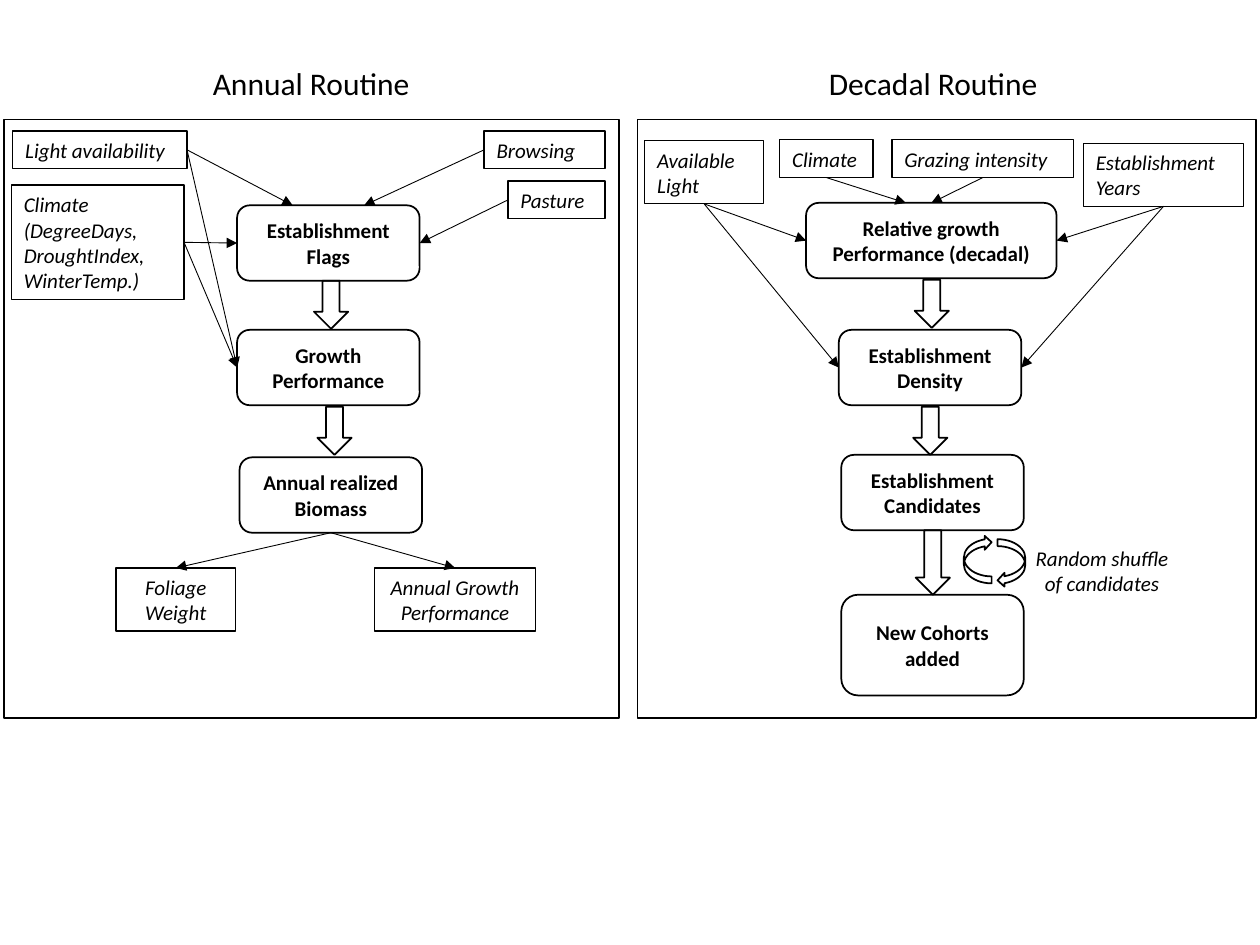
from pptx import Presentation
from pptx.dml.color import RGBColor
from pptx.enum.shapes import MSO_CONNECTOR, MSO_SHAPE
from pptx.enum.text import MSO_ANCHOR, PP_ALIGN
from pptx.oxml.ns import qn
from pptx.util import Cm, Pt
from lxml.etree import SubElement

COLORS = {"ink": "000000"}
INK = RGBColor.from_string(COLORS["ink"])
TOP, LEFT, BOTTOM, RIGHT = range(4)
STAGE = (3.68, 1.52)  # width and height of a usual stage

# Each style: font values, alignment, wrapping
STYLES = {
    "head": ({"size": Pt(18)}, PP_ALIGN.LEFT, False),
    "stage": ({"size": Pt(12), "bold": True}, PP_ALIGN.CENTER, False),
    "input": ({"size": Pt(12), "italic": True}, PP_ALIGN.LEFT, True),
    "result": ({"size": Pt(12), "italic": True}, PP_ALIGN.CENTER, False),
}


def write(shape, text, style):
    values, align, wrap = STYLES[style]
    frame = shape.text_frame
    frame.text = text
    frame.word_wrap = wrap
    frame.vertical_anchor = MSO_ANCHOR.MIDDLE
    for para in frame.paragraphs:
        para.alignment = align
        for run in para.runs:
            run.font.name = "Calibri"
            run.font.color.rgb = INK
            for name, value in values.items():
                setattr(run.font, name, value)


class Panel:
    """A framed region; all places are in cm from its top left corner."""

    def __init__(self, slide, x, y, w, h):
        self.shapes, self.x, self.y = slide.shapes, x, y
        self.shape(MSO_SHAPE.RECTANGLE, 0, 0, w, h)

    def spot(self, x, y):
        return Cm(self.x + x), Cm(self.y + y)

    def shape(self, kind, x, y, w, h, line=1):
        item = self.shapes.add_shape(kind, *self.spot(x, y), Cm(w), Cm(h))
        item.shadow.inherit = False
        item.fill.background()
        item.line.color.rgb = INK
        item.line.width = Pt(line)
        return item

    def label(self, text, style, x, y, w, h):
        item = self.shapes.add_textbox(*self.spot(x, y), Cm(w), Cm(h))
        write(item, text, style)

    def stage(self, text, x, y, w=STAGE[0], h=STAGE[1]):
        item = self.shape(MSO_SHAPE.ROUNDED_RECTANGLE, x, y, w, h)
        write(item, text, "stage")
        return item

    def note(self, text, style, x, y, w, h=0.76):
        item = self.shape(MSO_SHAPE.RECTANGLE, x, y, w, h, 0.75)
        write(item, text, style)
        return item

    def down(self, x, y, h=0.97):
        self.shape(MSO_SHAPE.DOWN_ARROW, x, y, 0.69, h)

    def link(self, start, side, end, goal):
        """Join a box side to another box side, or to a point if end is None."""
        spot = self.spot(*goal) if end is None else (0, 0)
        line = self.shapes.add_connector(MSO_CONNECTOR.STRAIGHT, 0, 0, *spot)
        line.begin_connect(start, side)
        if end is not None:
            line.end_connect(end, goal)
        line.line.color.rgb = INK
        line.line.width = Pt(0.5)
        SubElement(line.line._get_or_add_ln(), qn("a:tailEnd"), type="triangle")
        SubElement(line._element.spPr, qn("a:effectLst"))


def annual(slide, *box):
    panel = Panel(slide, *box)
    panel.label("Annual Routine", "head", 3.96, -1.24, 4.52, 1.02)

    flags = panel.stage("Establishment\nFlags", 4.7, 1.73)
    growth = panel.stage("Growth\nPerformance", 4.7, 4.24)
    mass = panel.stage("Annual realized\nBiomass", 4.75, 6.81)
    panel.down(6.25, 3.25)
    panel.down(6.32, 5.79)

    light = panel.note("Light availability", "input", 0.18, 0.23, 3.51)
    browse = panel.note("Browsing", "input", 9.68, 0.23, 2.44)
    climate = panel.note("Climate\n(DegreeDays,\nDroughtIndex,\nWinterTemp.)",
                         "input", 0.15, 1.32, 3.48, 2.31)
    grass = panel.note("Pasture", "input", 10.16, 1.24, 1.96)
    leaf = panel.note("Foliage\nWeight", "result", 2.26, 9.04, 2.41, 1.27)
    yearly = panel.note("Annual Growth\nPerformance", "result",
                        7.47, 9.04, 3.25, 1.27)

    for link in (
        (browse, LEFT, None, (7.26, 1.73)),
        (light, RIGHT, None, (5.82, 1.73)),
        (grass, LEFT, flags, RIGHT),
        (climate, RIGHT, flags, LEFT),
        (climate, RIGHT, growth, LEFT),
        (light, RIGHT, growth, LEFT),
        (mass, BOTTOM, leaf, TOP),
        (mass, BOTTOM, yearly, TOP),
    ):
        panel.link(*link)


def decadal(slide, *box):
    panel = Panel(slide, *box)
    panel.label("Decadal Routine", "head", 3.61, -1.24, 4.78, 1.02)

    growth = panel.stage("Relative growth\nPerformance (decadal)",
                         3.4, 1.68, w=5.05)
    density = panel.stage("Establishment\nDensity", 4.06, 4.24)
    panel.stage("Establishment\nCandidates", 4.11, 6.76)
    panel.stage("New Cohorts\nadded", 4.11, 9.58, h=2.03)
    panel.down(5.59, 3.23)
    panel.down(5.56, 5.79)
    panel.down(5.61, 8.28, 1.3)

    for x, y, turn in ((7.26, 8.46, 0), (6.58, 8.38, 180)):
        curve = panel.shape(MSO_SHAPE.CURVED_LEFT_ARROW, x, y, 0.56, 0.97)
        curve.rotation = turn
    panel.label("Random shuffle\nof candidates", "result",
                7.75, 8.46, 3.23, 1.27)

    light = panel.note("Available Light", "input", 0.15, 0.43, 2.39, 1.27)
    climate = panel.note("Climate", "input", 2.87, 0.41, 1.88)
    graze = panel.note("Grazing intensity", "input", 5.13, 0.41, 3.66)
    years = panel.note("Establishment\nYears", "input", 8.99, 0.48, 3.23, 1.27)

    for link in (
        (light, BOTTOM, growth, LEFT),
        (light, BOTTOM, density, LEFT),
        (years, BOTTOM, growth, RIGHT),
        (years, BOTTOM, density, RIGHT),
        (graze, BOTTOM, growth, TOP),
        (climate, BOTTOM, None, (5.41, 1.68)),
    ):
        panel.link(*link)


def main():
    deck = Presentation()
    deck.slide_width, deck.slide_height = Cm(25.4), Cm(19.05)
    slide = deck.slides.add_slide(deck.slide_layouts[6])
    annual(slide, 0.08, 2.41, 12.4, 12.07)
    decadal(slide, 12.85, 2.41, 12.47, 12.07)
    deck.save("out.pptx")


if __name__ == "__main__":
    main()
